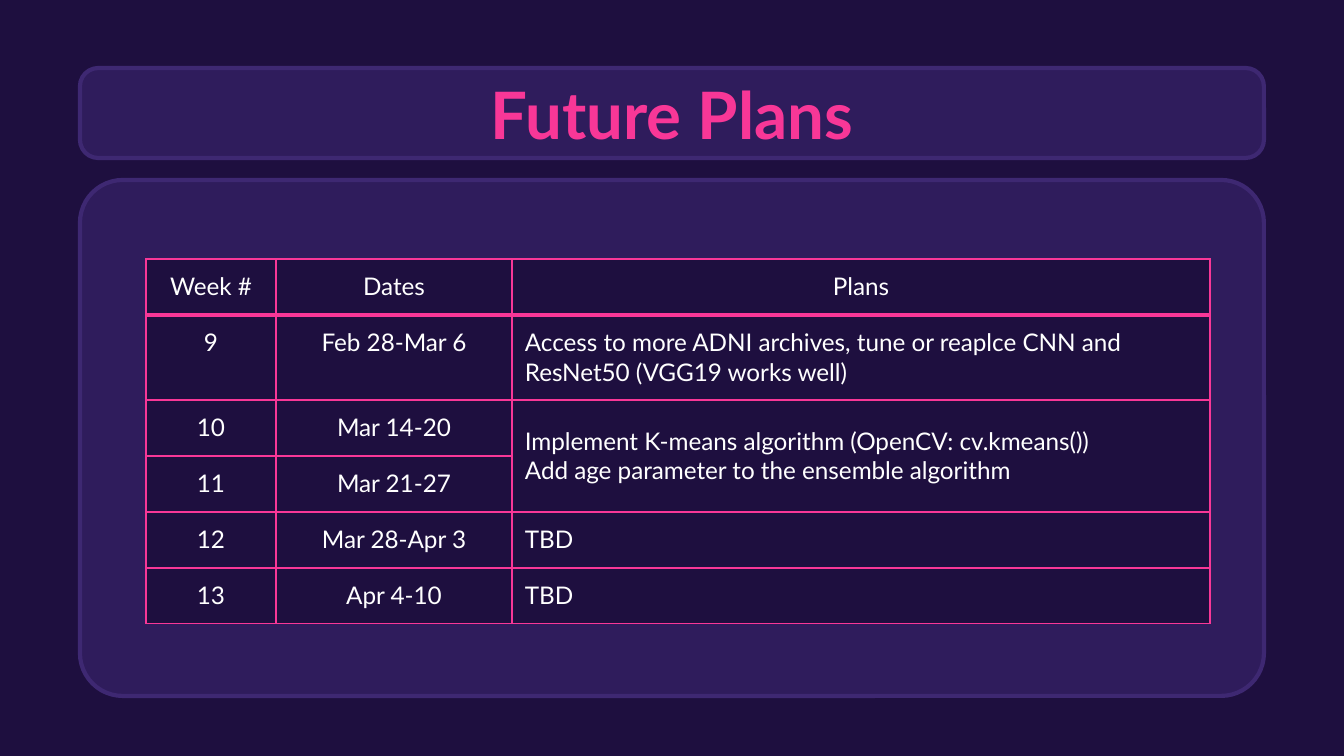
from dataclasses import dataclass

from lxml import etree
from pptx import Presentation
from pptx.dml.color import RGBColor
from pptx.enum.shapes import MSO_SHAPE
from pptx.enum.text import MSO_ANCHOR, MSO_AUTO_SIZE, PP_ALIGN
from pptx.oxml.ns import qn
from pptx.slide import Slide
from pptx.table import _Cell
from pptx.text.text import TextFrame
from pptx.util import Emu, Pt

ROUNDED = MSO_SHAPE.ROUNDED_RECTANGLE
TOP, MIDDLE = MSO_ANCHOR.TOP, MSO_ANCHOR.MIDDLE
LEFT, CENTER = PP_ALIGN.LEFT, PP_ALIGN.CENTER
NO_AUTOFIT = MSO_AUTO_SIZE.NONE

SLIDE_WIDTH, SLIDE_HEIGHT = 1344, 756
EMU_PER_PX = 9144000 / SLIDE_WIDTH
FONT = "Lato"
NIGHT, PURPLE, VIOLET = "1E0F3F", "2F1C5C", "3E2872"
PINK, WHITE = "F83797", "FFFFFF"
THIN, THICK = 0.75, 3


@dataclass(frozen=True)
class Box:
    left: int
    top: int
    width: int
    height: int

    def emu(self) -> tuple[Emu, ...]:
        return tuple(px(side) for side in (self.left, self.top, self.width, self.height))


@dataclass(frozen=True)
class Panel:
    box: Box
    corner: float


@dataclass(frozen=True)
class PlanRow:
    height: int
    week: str
    dates: str
    plans: str


PANELS = [
    Panel(Box(80, 180, 1184, 516), 0.083),
    Panel(Box(80, 68, 1184, 90), 0.203),
]
TITLE_BOX = Box(106, 79, 1132, 68)
TABLE_LEFT, TABLE_TOP = 146, 259
COLUMN_WIDTHS = [130, 236, 698]
ROW_HEIGHT = 56
PLANS_COLUMN = 2
MERGED_ROWS = (2, 3)
PLAN_ROWS = [
    PlanRow(ROW_HEIGHT, "Week #", "Dates", "Plans"),
    PlanRow(85, "9", "Feb 28-Mar 6",
            "Access to more ADNI archives, tune or reaplce CNN and ResNet50 (VGG19 works well)"),
    PlanRow(ROW_HEIGHT, "10", "Mar 14-20",
            "Implement K-means algorithm (OpenCV: cv.kmeans())\n"
            "Add age parameter to the ensemble algorithm"),
    PlanRow(ROW_HEIGHT, "11", "Mar 21-27", ""),
    PlanRow(ROW_HEIGHT, "12", "Mar 28-Apr 3", "TBD"),
    PlanRow(ROW_HEIGHT, "13", "Apr 4-10", "TBD"),
]


def px(length: int) -> Emu:
    return Emu(round(length * EMU_PER_PX))


def color(value: str) -> RGBColor:
    return RGBColor.from_string(value)


def format_text(frame: TextFrame, size: int, ink: str, align: PP_ALIGN, bold: bool) -> None:
    for para in frame.paragraphs:
        para.alignment = align
        for span in para.runs:
            span.font.name = FONT
            span.font.size = Pt(size)
            span.font.bold = bold
            span.font.color.rgb = color(ink)


def add_panel(slide: Slide, panel: Panel) -> None:
    shape = slide.shapes.add_shape(ROUNDED, *panel.box.emu())
    shape.adjustments[0] = panel.corner
    shape.shadow.inherit = False
    shape.fill.solid()
    shape.fill.fore_color.rgb = color(PURPLE)
    shape.line.color.rgb = color(VIOLET)
    shape.line.width = Pt(2.25)


def place_title(slide: Slide, text: str) -> None:
    title = slide.shapes.title
    title.left, title.top, title.width, title.height = TITLE_BOX.emu()
    frame = title.text_frame
    frame.text = text
    frame.word_wrap = True
    frame.auto_size = NO_AUTOFIT
    frame.vertical_anchor = MIDDLE
    frame.margin_left = frame.margin_right = px(13)
    frame.margin_top = frame.margin_bottom = px(13)
    format_text(frame, 35, PINK, CENTER, True)
    slide.shapes._spTree.append(title._element)


def set_borders(cell: _Cell, top: float, bottom: float) -> None:
    properties = cell._tc.get_or_add_tcPr()
    widths = {"lnL": THIN, "lnR": THIN, "lnT": top, "lnB": bottom}
    for edge, width in widths.items():
        line = etree.SubElement(properties, qn(f"a:{edge}"), w=str(Pt(width)))
        fill = etree.SubElement(line, qn("a:solidFill"))
        etree.SubElement(fill, qn("a:srgbClr"), val=PINK)


def fill_cell(cell: _Cell, text: str, row: int, column: int) -> None:
    set_borders(cell, THICK if row == 1 else THIN, THICK if row == 0 else THIN)
    cell.fill.solid()
    cell.fill.fore_color.rgb = color(NIGHT)
    cell.margin_left = cell.margin_right = px(13)
    cell.margin_top = cell.margin_bottom = px(13)
    cell.vertical_anchor = TOP
    cell.text_frame.text = text
    align = LEFT if column == PLANS_COLUMN and row > 0 else CENTER
    format_text(cell.text_frame, 13, WHITE, align, False)


def add_plan_table(slide: Slide) -> None:
    box = Box(TABLE_LEFT, TABLE_TOP, sum(COLUMN_WIDTHS), sum(row.height for row in PLAN_ROWS))
    table = slide.shapes.add_table(len(PLAN_ROWS), len(COLUMN_WIDTHS), *box.emu()).table
    table.first_row = False
    table.horz_banding = False
    for column, width in zip(table.columns, COLUMN_WIDTHS):
        column.width = px(width)
    for row, plan in enumerate(PLAN_ROWS):
        table.rows[row].height = px(plan.height)
        for column, text in enumerate((plan.week, plan.dates, plan.plans)):
            fill_cell(table.cell(row, column), text, row, column)
    first, last = (table.cell(row, PLANS_COLUMN) for row in MERGED_ROWS)
    first.merge(last)
    first.vertical_anchor = MIDDLE


def main() -> None:
    deck = Presentation()
    deck.slide_width, deck.slide_height = px(SLIDE_WIDTH), px(SLIDE_HEIGHT)
    page = deck.slides.add_slide(deck.slide_layouts.get_by_name("Title Only"))
    page.background.fill.solid()
    page.background.fill.fore_color.rgb = color(NIGHT)
    for panel in PANELS:
        add_panel(page, panel)
    place_title(page, "Future Plans")
    add_plan_table(page)
    deck.save("out.pptx")


if __name__ == "__main__":
    main()
